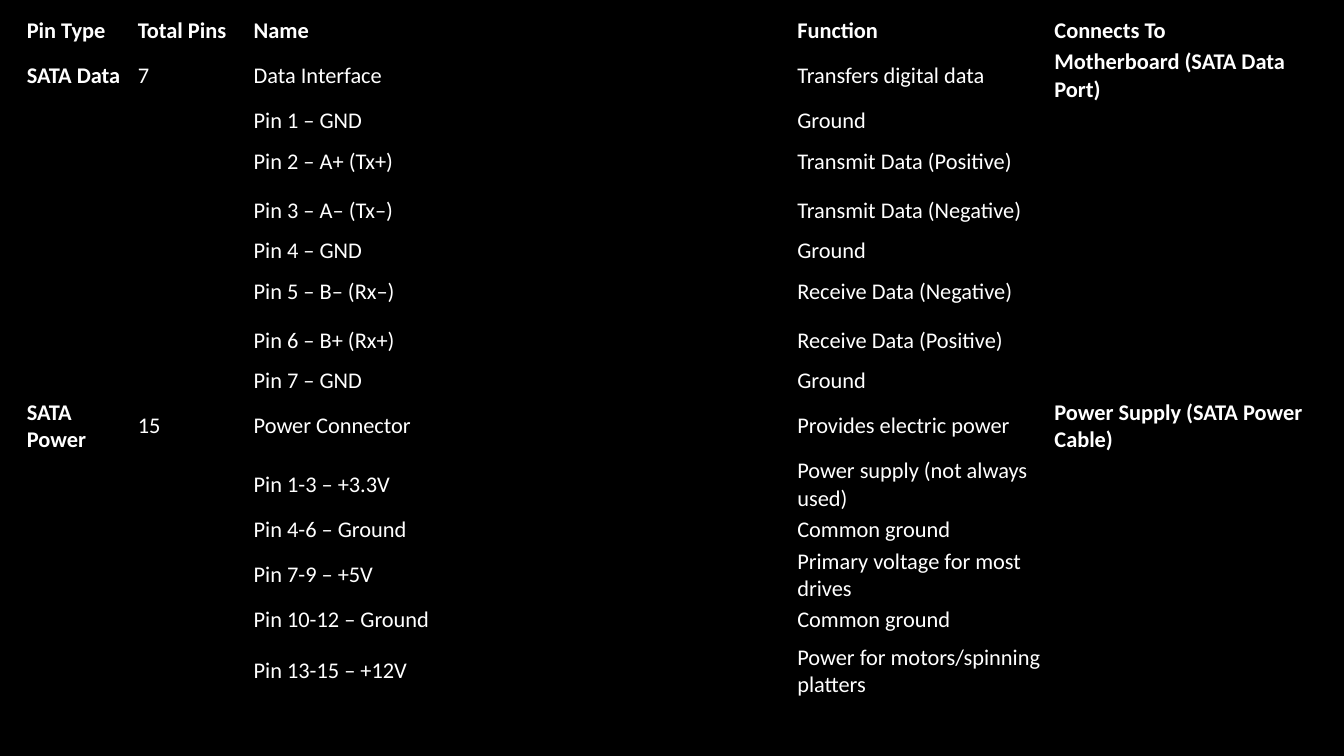
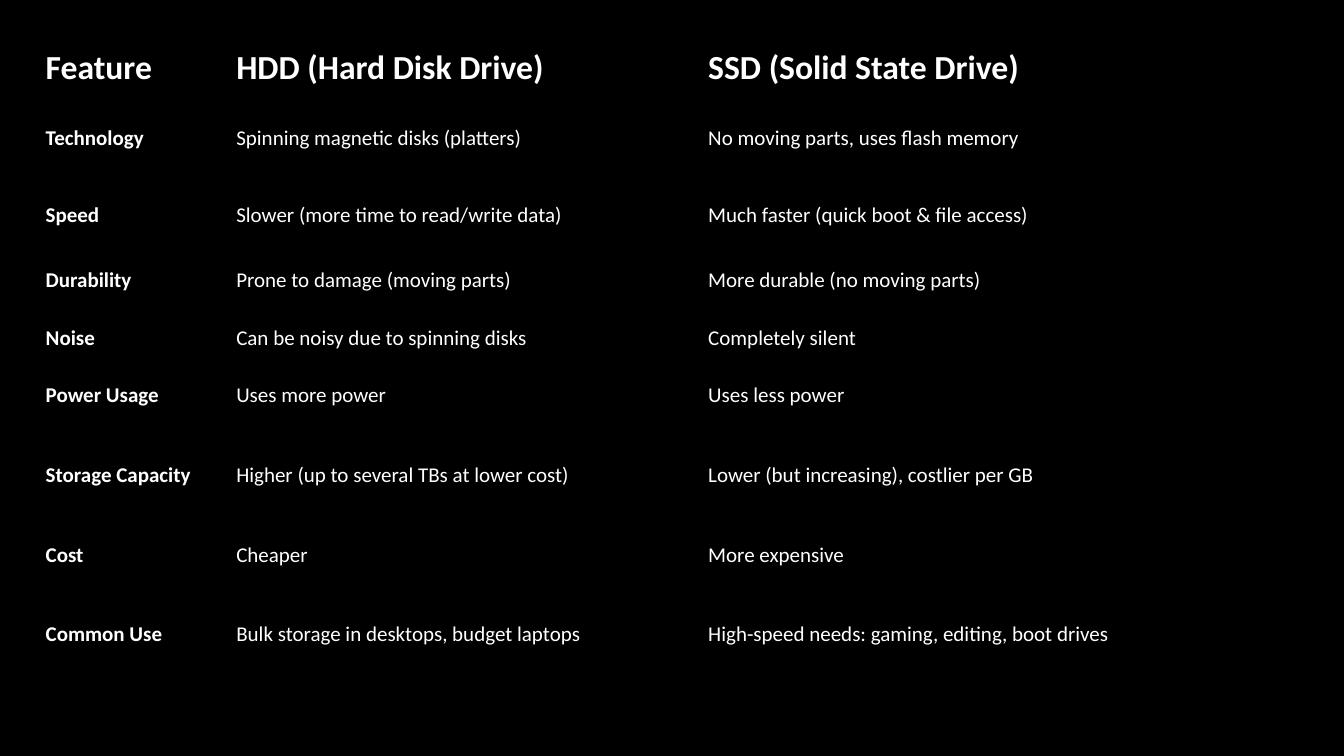
from lxml import etree
from pptx import Presentation
from pptx.dml.color import RGBColor
from pptx.enum.text import MSO_ANCHOR
from pptx.oxml.ns import qn
from pptx.util import Inches, Pt

MIDDLE = MSO_ANCHOR.MIDDLE
BLANK_LAYOUT = 6
PLAIN_TABLE_STYLE = "{2D5ABB26-0587-4C30-8999-92F81FD0307C}"

PIN_HEADER = ["Pin Type", "Total Pins", "Name", "Function", "Connects To"]
CONNECTORS = [
    (["SATA Data", "7", "Data Interface", "Transfers digital data",
      "Motherboard (SATA Data Port)"],
     [("Pin 1 – GND", "Ground"),
      ("Pin 2 – A+ (Tx+)", "Transmit Data (Positive)"),
      ("Pin 3 – A– (Tx–)", "Transmit Data (Negative)"),
      ("Pin 4 – GND", "Ground"),
      ("Pin 5 – B– (Rx–)", "Receive Data (Negative)"),
      ("Pin 6 – B+ (Rx+)", "Receive Data (Positive)"),
      ("Pin 7 – GND", "Ground")]),
    (["SATA Power", "15", "Power Connector", "Provides electric power",
      "Power Supply (SATA Power Cable)"],
     [("Pin 1-3 – +3.3V", "Power supply (not always used)"),
      ("Pin 4-6 – Ground", "Common ground"),
      ("Pin 7-9 – +5V", "Primary voltage for most drives"),
      ("Pin 10-12 – Ground", "Common ground"),
      ("Pin 13-15 – +12V", "Power for motors/spinning platters")]),
]
PIN_COLUMNS = [1.1, 1.15, 5.39, 2.55, 2.55]
PIN_ROWS = [0.28, 0.51, 0.28, 0.49, 0.49, 0.28, 0.49, 0.49, 0.28,
            0.51, 0.51, 0.28, 0.51, 0.28, 0.7]

DRIVE_ROWS_TEXT = [
    ["Feature", "HDD (Hard Disk Drive)", "SSD (Solid State Drive)"],
    ["Technology", "Spinning magnetic disks (platters)", "No moving parts, uses flash memory"],
    ["Speed", "Slower (more time to read/write data)", "Much faster (quick boot & file access)"],
    ["Durability", "Prone to damage (moving parts)", "More durable (no moving parts)"],
    ["Noise", "Can be noisy due to spinning disks", "Completely silent"],
    ["Power Usage", "Uses more power", "Uses less power"],
    ["Storage Capacity", "Higher (up to several TBs at lower cost)",
     "Lower (but increasing), costlier per GB"],
    ["Cost", "Cheaper", "More expensive"],
    ["Common Use", "Bulk storage in desktops, budget laptops",
     "High-speed needs: gaming, editing, boot drives"],
]
DRIVE_COLUMNS = [1.89, 4.68, 6.17]
DRIVE_ROWS = [0.57, 0.82, 0.72, 0.57, 0.57, 0.57, 1.01, 0.57, 1.01]


def color(hex_text):
    return RGBColor.from_string(hex_text)


def share_out(total, weights):
    """Divide a length in proportion to the weights."""
    return [int(total * weight / sum(weights)) for weight in weights]


class Deck:
    """Holds the shared style and the slide being filled."""
    font = "Calibri"
    ink = "FFFFFF"
    paper = "000000"
    table_width = 0.956

    def __init__(self):
        self.presentation = Presentation()
        self.presentation.slide_width = Inches(13.33)
        self.presentation.slide_height = Inches(7.5)
        self.slide = None

    def new_slide(self):
        layout = self.presentation.slide_layouts[BLANK_LAYOUT]
        self.slide = self.presentation.slides.add_slide(layout)
        background = self.slide.background.fill
        background.solid()
        background.fore_color.rgb = color(self.paper)

    def add_text(self, paragraph, text, *, size, bold=False):
        if not text:
            # The end mark sets the line height of an empty cell.
            end_mark = etree.SubElement(paragraph._p, qn("a:endParaRPr"))
            end_mark.set("sz", str(size * 100))
            return
        run = paragraph.add_run()
        run.text = text
        run.font.name = self.font
        run.font.size = Pt(size)
        run.font.bold = bold
        run.font.color.rgb = color(self.ink)

    def table(self, rows, *, left, top, height, columns, row_weights,
              size, header_size, side_inset, bold_columns):
        """Draw a table; left, top and height are shares of the slide."""
        slide_width = self.presentation.slide_width
        slide_height = self.presentation.slide_height
        width, height = int(slide_width * self.table_width), int(slide_height * height)
        frame = self.slide.shapes.add_table(
            len(rows), len(columns), int(slide_width * left),
            int(slide_height * top), width, height)
        table = frame.table
        table.first_row = table.horz_banding = False
        table._tbl.tblPr.find(qn("a:tableStyleId")).text = PLAIN_TABLE_STYLE
        for column, length in zip(table.columns, share_out(width, columns)):
            column.width = length
        for row, length in zip(table.rows, share_out(height, row_weights)):
            row.height = length

        for row_index, texts in enumerate(rows):
            is_header = row_index == 0
            for column_index, text in enumerate(texts):
                cell = table.cell(row_index, column_index)
                cell.fill.background()
                cell.vertical_anchor = MIDDLE
                cell.margin_left = cell.margin_right = Inches(side_inset)
                cell.margin_top = cell.margin_bottom = Inches(side_inset / 2)
                self.add_text(cell.text_frame.paragraphs[0], text,
                              size=header_size if is_header else size,
                              bold=is_header or column_index in bold_columns)


def main():
    deck = Deck()

    deck.new_slide()
    pin_rows = [PIN_HEADER]
    for summary, pins in CONNECTORS:
        pin_rows.append(summary)
        pin_rows += [["", "", name, function, ""] for name, function in pins]
    deck.table(pin_rows, left=0.017, top=0.02, height=0.85,
               columns=PIN_COLUMNS, row_weights=PIN_ROWS,
               size=16, header_size=16, side_inset=0.04, bold_columns=(0, 4))

    deck.new_slide()
    deck.table(DRIVE_ROWS_TEXT, left=0.028, top=0.052, height=0.855,
               columns=DRIVE_COLUMNS, row_weights=DRIVE_ROWS,
               size=15, header_size=24, side_inset=0.08, bold_columns=(0,))

    deck.presentation.save("out.pptx")


if __name__ == "__main__":
    main()
